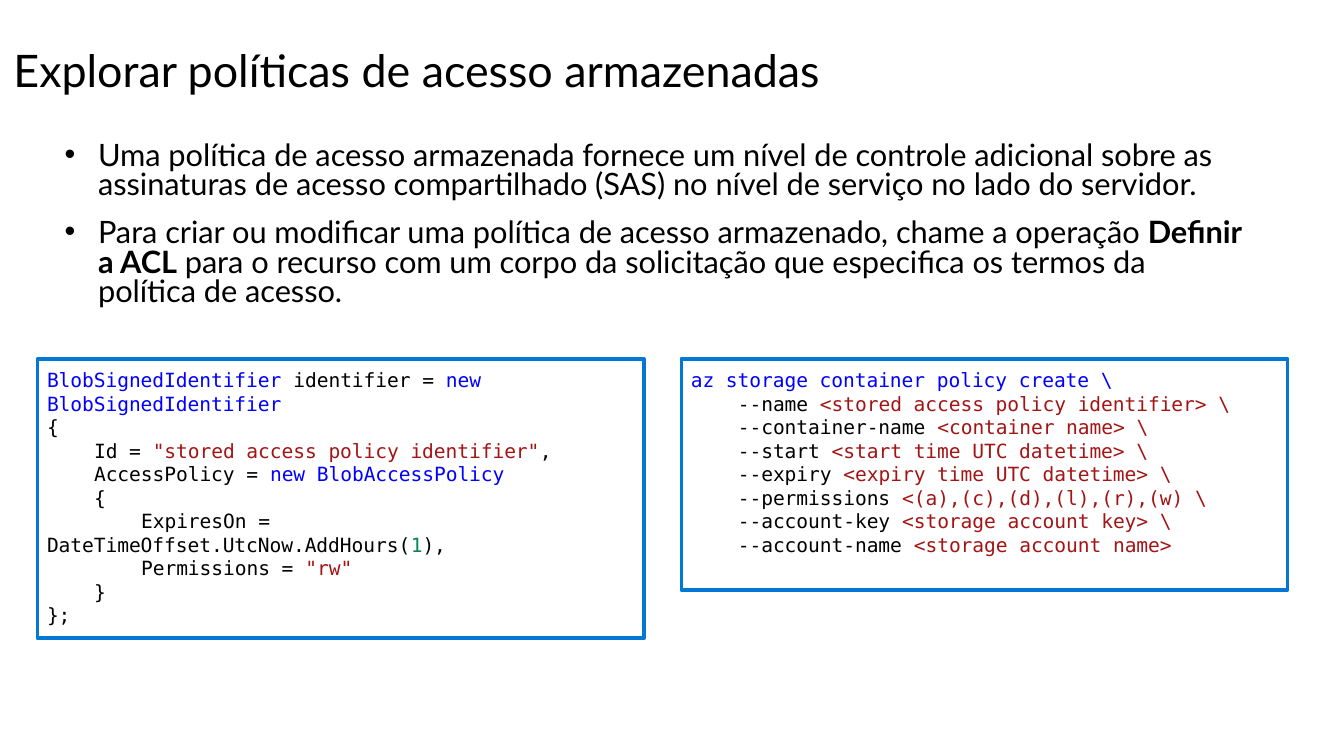
from typing import NamedTuple

from lxml.etree import SubElement
from pptx import Presentation
from pptx.dml.color import RGBColor
from pptx.enum.shapes import MSO_SHAPE as Preset
from pptx.enum.text import MSO_ANCHOR as Anchor, MSO_AUTO_SIZE as AutoSize, PP_ALIGN as Align
from pptx.oxml.ns import qn
from pptx.util import Inches, Pt

BLACK, BLUE, RED, GREEN, BORDER = "000000", "0000FF", "A31515", "098658", "0078D4"
PROSE_FONT, CODE_FONT = "Lato", "DejaVu Sans Mono"
CODE_INDENT = 0.35
PANEL_LEFT, PANEL_TOP, PANEL_WIDTH, PANEL_GAP = 0.28, 2.67, 4.51, 0.28


class Run(NamedTuple):
    """A stretch of text in one colour and weight."""
    text: str
    color: str = BLACK
    bold: bool = False


class Line(NamedTuple):
    """A paragraph and its code nesting level."""
    runs: list[Run]
    level: int = 0


class Panel(NamedTuple):
    """A code sample and the height of its frame."""
    height: float
    lines: list[Line]


def rgb(color: str) -> RGBColor:
    """Turn a hex string into a colour."""
    return RGBColor.from_string(color)


def place(shape, left: float, top: float, width: float, height: float) -> None:
    """Move and size a shape, in inches."""
    shape.left, shape.top = Inches(left), Inches(top)
    shape.width, shape.height = Inches(width), Inches(height)


def write(frame, lines: list[Line], *, font: str, size: float, anchor=Anchor.TOP,
          spacing: float = 1.0, before: float = 0, bullet: str = "") -> None:
    """Fill a text frame with formatted paragraphs."""
    frame.word_wrap = True
    frame.auto_size = AutoSize.NONE
    frame.vertical_anchor = anchor
    for number, line in enumerate(lines):
        paragraph = frame.add_paragraph() if number else frame.paragraphs[0]
        paragraph.alignment = Align.LEFT
        paragraph.line_spacing = spacing
        paragraph.space_before = Pt(before)
        properties = paragraph._p.get_or_add_pPr()
        margin, indent = (0.25, -0.25) if bullet else (0, line.level * CODE_INDENT)
        properties.set("marL", str(Inches(margin)))
        properties.set("indent", str(Inches(indent)))
        if bullet:
            SubElement(properties, qn("a:buFont")).set("typeface", "Arial")
            SubElement(properties, qn("a:buChar")).set("char", bullet)
        for text, color, bold in line.runs:
            run = paragraph.add_run()
            run.text = text
            run.font.name, run.font.size, run.font.bold = font, Pt(size), bold
            run.font.color.rgb = rgb(color)


def draw_panel(slide, panel: Panel, column: int) -> None:
    """Draw one framed code sample."""
    left = PANEL_LEFT + column * (PANEL_WIDTH + PANEL_GAP)
    frame = slide.shapes.add_shape(Preset.RECTANGLE, Inches(left), Inches(PANEL_TOP),
                                   Inches(PANEL_WIDTH), Inches(panel.height))
    frame.shadow.inherit = False
    frame.fill.background()
    frame.line.color.rgb = rgb(BORDER)
    frame.line.width = Pt(2)
    text = frame.text_frame
    text.margin_left = text.margin_right = text.margin_top = text.margin_bottom = Inches(0.07)
    write(text, panel.lines, font=CODE_FONT, size=10.5)


def option(flag: str, value: str) -> Line:
    """Build one command-line option."""
    return Line([Run(f"--{flag} "), Run(value, RED)], 1)


TITLE = [Line([Run("Explorar políticas de acesso armazenadas")])]
POINTS = [
    Line([Run("Uma política de acesso armazenada fornece um nível de controle adicional sobre as "
              "assinaturas de acesso compartilhado (SAS) no nível de serviço no lado do servidor.")]),
    Line([Run("Para criar ou modificar uma política de acesso armazenado, chame a operação "),
          Run("Definir a ACL", bold=True),
          Run(" para o recurso com um corpo da solicitação que especifica os termos da "
              "política de acesso.")]),
]
CSHARP = Panel(2.08, [
    Line([Run("BlobSignedIdentifier", BLUE), Run(" identifier = "),
          Run("new BlobSignedIdentifier", BLUE)]),
    Line([Run("{")]),
    Line([Run("Id = "), Run('"stored access policy identifier"', RED), Run(",")], 1),
    Line([Run("AccessPolicy = "), Run("new BlobAccessPolicy", BLUE)], 1),
    Line([Run("{")], 1),
    Line([Run("ExpiresOn = DateTimeOffset.UtcNow.AddHours("), Run("1", GREEN), Run("),")], 2),
    Line([Run("Permissions = "), Run('"rw"', RED)], 2),
    Line([Run("}")], 1),
    Line([Run("};")]),
])
COMMAND = Panel(1.72, [
    Line([Run("az storage container policy create \\", BLUE)]),
    option("name", "<stored access policy identifier> \\"),
    option("container-name", "<container name> \\"),
    option("start", "<start time UTC datetime> \\"),
    option("expiry", "<expiry time UTC datetime> \\"),
    option("permissions", "<(a),(c),(d),(l),(r),(w) \\"),
    option("account-key", "<storage account key> \\"),
    option("account-name", "<storage account name>"),
])


def main() -> None:
    """Build and save the slide."""
    deck = Presentation()
    deck.slide_width, deck.slide_height = Inches(10), Inches(10 * 9 / 16)
    slide = deck.slides.add_slide(deck.slide_layouts[1])
    title, body = slide.placeholders
    place(title, 0, 0, 8.62, 1.09)
    write(title.text_frame, TITLE, font=PROSE_FONT, size=24, anchor=Anchor.MIDDLE, spacing=0.9)
    place(body, 0.38, 1.01, 9.03, 1.4)
    write(body.text_frame, POINTS, font=PROSE_FONT, size=16.5, spacing=0.8, before=10, bullet="•")
    for column, panel in enumerate((CSHARP, COMMAND)):
        draw_panel(slide, panel, column)
    deck.save("out.pptx")


if __name__ == "__main__":
    main()
